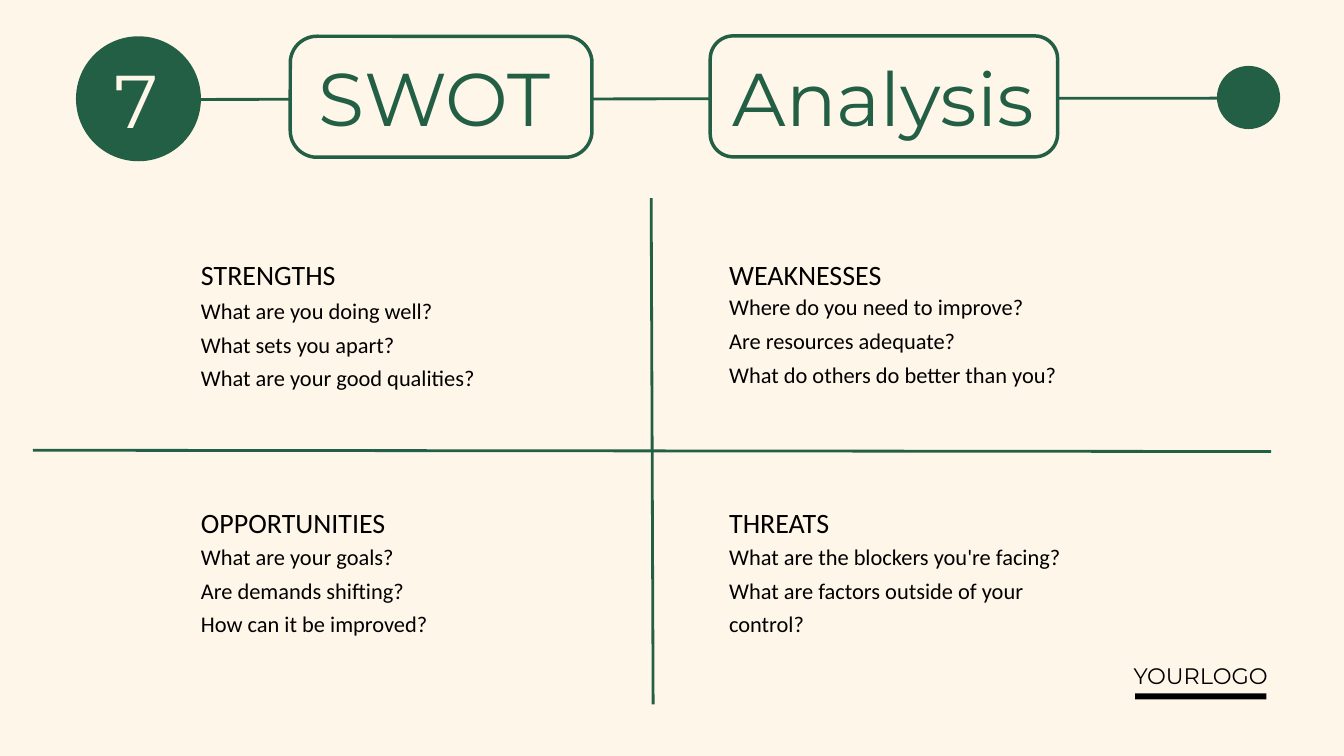
from pptx import Presentation
from pptx.dml.color import RGBColor
from pptx.enum.shapes import MSO_CONNECTOR, MSO_SHAPE
from pptx.enum.text import MSO_AUTO_SIZE, PP_ALIGN
from pptx.oxml.ns import qn
from pptx.util import Pt
from lxml.etree import SubElement

CREAM, GREEN, BLACK = "FFF6EA", "225F44", "000000"

QUADRANTS = [
    ("STRENGTHS", (215.3, 267.1), 44, 424,
     ["What are you doing well?", "What sets you apart?", "What are your good qualities?"]),
    ("WEAKNESSES", (781.2, 267.1), 40.3, 465,
     ["Where do you need to improve?", "Are resources adequate?", "What do others do better than you?"]),
    ("OPPORTUNITIES", (215.3, 532.8), 41.8, 451,
     ["What are your goals?", "Are demands shifting?", "How can it be improved?"]),
    ("THREATS", (781.2, 532.8), 41.8, 384,
     ["What are the blockers you're facing? What are factors outside of your control?"]),
]
TITLE_LINE = (167, 106.6, 1362, 105.1)
AXES = [(35.3, 482.4, 1362, 483.8), (697.7, 212.4, 699.8, 754.6)]
TITLE_BOXES = [(311, 38.9, 323.3, 129.6, 0.22), (761, 38.5, 372.2, 129.6, 0.19)]
CIRCLES = [(81.4, 38.9, 133.9), (1303.9, 70.6, 67.7)]
TITLE_WORDS = [
    ("7", 122.4, 57.6, 29, CREAM),
    ("SWOT", 341.3, 55.4, 270, GREEN),
    ("Analysis", 784.8, 55.4, 332.6, GREEN),
]


def color(value):
    return RGBColor.from_string(value)


def add_line(x1, y1, x2, y2):
    c = s.shapes.add_connector(MSO_CONNECTOR.STRAIGHT, Pt(x1), Pt(y1), Pt(x2), Pt(y2))
    c.line.color.rgb = color(GREEN)
    c.line.width = Pt(3)
    SubElement(c._element.spPr, qn("a:effectLst"))


def add_solid(kind, x, y, w, h, fill, line=None):
    sp = s.shapes.add_shape(kind, Pt(x), Pt(y), Pt(w), Pt(h))
    sp.shadow.inherit = False
    sp.fill.solid()
    sp.fill.fore_color.rgb = color(fill)
    if line:
        sp.line.color.rgb = color(line)
        sp.line.width = Pt(3.75)
    else:
        sp.line.fill.background()
    return sp


def add_text(lines, x, y, w, h, size, spacing, font="Calibri", fill=BLACK, align=PP_ALIGN.LEFT):
    tf = s.shapes.add_textbox(Pt(x), Pt(y), Pt(w), Pt(h)).text_frame
    tf.margin_left = tf.margin_right = tf.margin_top = tf.margin_bottom = 0
    tf.word_wrap = True
    tf.auto_size = MSO_AUTO_SIZE.SHAPE_TO_FIT_TEXT
    tf.text = "\n".join(lines)
    for p in tf.paragraphs:
        p.alignment = align
        p.line_spacing = Pt(spacing)
        p.font.name = font
        p.font.size = Pt(size)
        p.font.color.rgb = color(fill)


prs = Presentation()
prs.slide_width, prs.slide_height = Pt(1440), Pt(810)
s = prs.slides.add_slide(prs.slide_layouts[6])
s.background.fill.solid()
s.background.fill.fore_color.rgb = color(CREAM)

add_line(*TITLE_LINE)
for x, y, w, h, radius in TITLE_BOXES:
    box = add_solid(MSO_SHAPE.ROUNDED_RECTANGLE, x, y, w, h, CREAM, GREEN)
    box.adjustments[0] = radius
for x, y, d in CIRCLES:
    add_solid(MSO_SHAPE.OVAL, x, y, d, d, GREEN)
for word, x, y, w, fill in TITLE_WORDS:
    add_text([word], x, y, w, 96, 80, 96, "Montserrat", fill, PP_ALIGN.JUSTIFY)

for axis in AXES:
    add_line(*axis)
for heading, (x, y), drop, width, questions in QUADRANTS:
    add_text([heading], x, y, 250, 40.3, 30, 45)
    add_text(questions, x, y + drop, width, 105, 24, 36)

add_solid(MSO_SHAPE.RECTANGLE, 1216.1, 743, 140.8, 6.5, BLACK)
add_text(["YOURLOGO"], 1214.6, 709.2, 225.4, 28.8, 24, 28.8, "Montserrat", align=PP_ALIGN.JUSTIFY)

prs.save("out.pptx")
